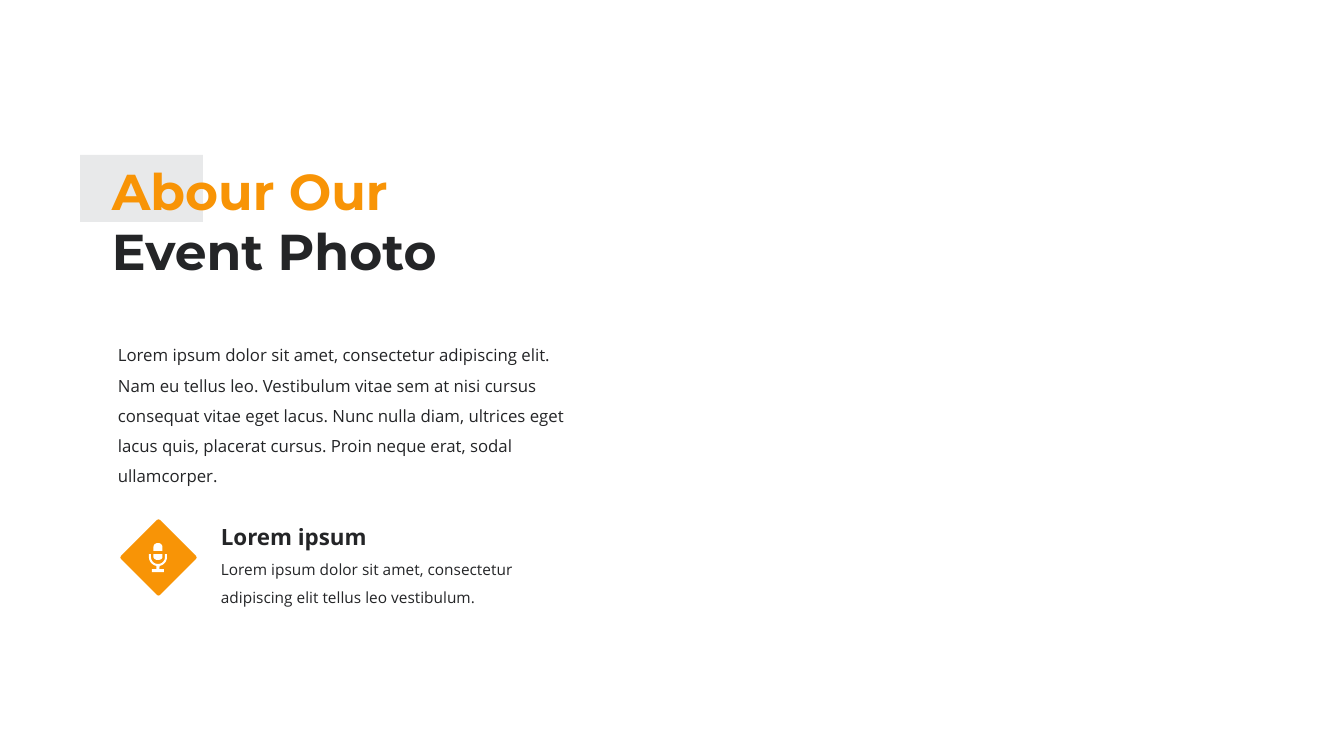
import math

from pptx import Presentation, util as u
from pptx.dml import color
from pptx.enum import shapes, text

PX = 914400 / 100.8
COLORS = {"accent": "F89406", "dark": "242527", "block": "E8E9EA", "white": "FFFFFF"}
TITLE = {"name": "Montserrat", "size": u.Pt(36), "bold": True}
BODY = {"name": "Open Sans", "size": u.Pt(12), "bold": False}
HEADING = {"name": "Open Sans", "size": u.Pt(16), "bold": True}
DETAIL = {"name": "Open Sans", "size": u.Pt(11), "bold": False}


def px(*values):
    """Turn pixels into EMU."""
    return [u.Emu(round(v * PX)) for v in values]


def rgb(name):
    """Look up a named colour."""
    return color.RGBColor.from_string(COLORS[name])


def paint(sp, fill, border=0):
    """Fill a shape, with a border of the same colour if a width is given."""
    sp.shadow.inherit = False
    sp.fill.solid()
    sp.fill.fore_color.rgb = rgb(fill)
    if border:
        sp.line.color.rgb = rgb(fill)
        sp.line.width = u.Pt(border)
    else:
        sp.line.fill.background()


def add_rect(parent, box, fill, border=0, rotation=0):
    """Add a plain rectangle."""
    sp = parent.add_shape(shapes.MSO_SHAPE.RECTANGLE, *px(*box))
    sp.rotation = rotation
    paint(sp, fill, border)


def add_text(parent, box, lines, font, spacing=1.0):
    """Add a text box with one paragraph per (wording, colour) pair."""
    tf = parent.add_textbox(*px(*box)).text_frame
    tf.word_wrap = True
    tf.auto_size = text.MSO_AUTO_SIZE.SHAPE_TO_FIT_TEXT
    for i, (wording, fill) in enumerate(lines):
        p = tf.add_paragraph() if i else tf.paragraphs[0]
        p.line_spacing = spacing
        r = p.add_run()
        r.text = wording
        for key, value in font.items():
            setattr(r.font, key, value)
        r.font.color.rgb = rgb(fill)


def arc(rx, ry, y, start, end, steps=16):
    """List points on an ellipse arc, angles in degrees clockwise from the right."""
    angles = [math.radians(start + (end - start) * i / steps) for i in range(steps + 1)]
    return [(rx * math.cos(a), y + ry * math.sin(a)) for a in angles]


def add_microphone(parent, x, y):
    """Add a microphone icon centred on x, with its top at y."""
    stand = [(-9, 11), *arc(9, 9, 14, 180, 100), (-1.5, 26), (-6, 26), (-6, 29),
             (6, 29), (6, 26), (1.5, 26), *arc(9, 9, 14, 80, 0), (9, 11),
             (7, 11), *arc(7, 7, 14, 0, 180), (-7, 11)]
    head_top = [*arc(4.5, 4, 4, 180, 360), (4.5, 8), (-4.5, 8)]
    head_bottom = [(-4.5, 11), (4.5, 11), *arc(4.5, 3, 14, 0, 180)]
    outlines = [[px(x + dx, y + dy) for dx, dy in outline]
                for outline in (stand, head_top, head_bottom)]
    builder = parent.build_freeform(*outlines[0][0])
    for i, outline in enumerate(outlines):
        if i:
            builder.move_to(*outline[0])
        builder.add_line_segments(outline[1:], close=True)
    paint(builder.convert_to_shape(), "white")


def main():
    """Build the slide and save it."""
    prs = Presentation()
    prs.slide_width, prs.slide_height = px(1344, 756)
    s = prs.slides.add_slide(prs.slide_layouts[6])

    add_text(s.shapes, (108, 330, 491, 163), [(
        "Lorem ipsum dolor sit amet, consectetur adipiscing elit. Nam eu tellus leo. "
        "Vestibulum vitae sem at nisi cursus consequat vitae eget lacus. Nunc nulla diam, "
        "ultrices eget lacus quis, placerat cursus. Proin neque erat, sodal ullamcorper.",
        "dark")], BODY, 1.5)

    title = s.shapes.add_group_shape().shapes
    add_rect(title, (80, 155, 123, 67), "block")
    add_text(title, (102, 155, 431, 132),
             [("Abour Our", "accent"), ("Event Photo", "dark")], TITLE)

    feature = s.shapes.add_group_shape().shapes
    add_rect(feature, (133, 532, 51, 51), "accent", border=3, rotation=45)
    add_microphone(feature, 158, 543)
    add_text(feature, (211, 505, 339, 46), [("Lorem ipsum", "dark")], HEADING, 1.5)
    add_text(feature, (211, 546, 339, 67), [(
        "Lorem ipsum dolor sit amet, consectetur adipiscing elit tellus leo vestibulum.",
        "dark")], DETAIL, 1.5)

    prs.save("out.pptx")


main()
